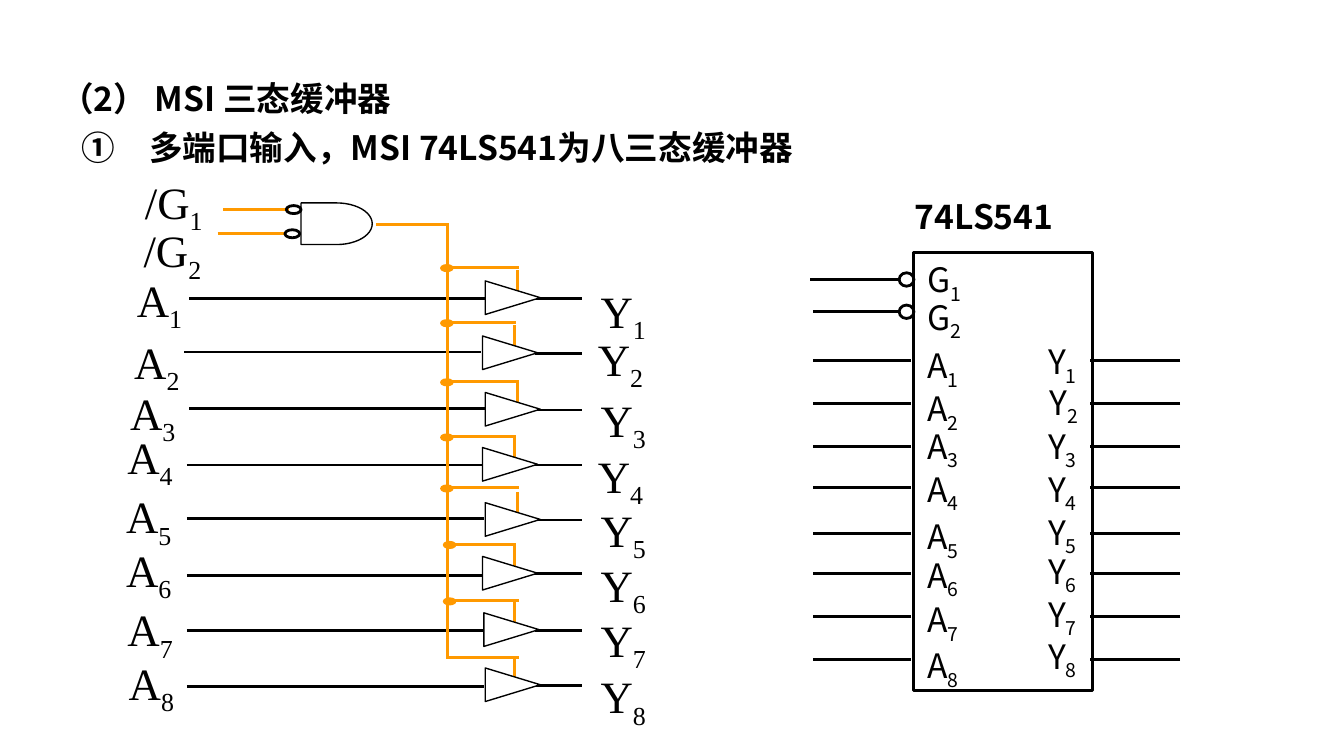
import pptx
import pptx.util
import pptx.dml.color
import pptx.enum.shapes
import pptx.enum.text
import pptx.oxml.ns
import lxml.etree

PX = 9144  # 100 px to the inch
HUES = {"ink": "000000", "paper": "FFFFFF", "bus": "FF9900"}
SANS, HEAD, SERIF = "Noto Sans CJK SC", "Noto Sans CJK JP", "Times New Roman"
KIND = pptx.enum.shapes.MSO_SHAPE
qn = pptx.oxml.ns.qn

deck = pptx.Presentation()
deck.slide_width = 1000 * PX
deck.slide_height = deck.slide_width * 9 // 16
slide = deck.slides.add_slide(deck.slide_layouts[5])
shapes = slide.shapes


def wire(x1, y1, x2, y2, hue="ink"):
    line = shapes.add_connector(pptx.enum.shapes.MSO_CONNECTOR.STRAIGHT,
                                x1 * PX, y1 * PX, x2 * PX, y2 * PX)
    line.line.width = pptx.util.Pt(1.5)
    line.line.color.rgb = pptx.dml.color.RGBColor.from_string(HUES[hue])
    lxml.etree.SubElement(line._element.spPr, qn("a:effectLst"))


def block(kind, x, y, w, h, fill=None, hue="ink", width=1.5, turn=0):
    part = shapes.add_shape(kind, x * PX, y * PX, w * PX, h * PX)
    part.shadow.inherit = False
    part.rotation = turn
    if fill:
        part.fill.solid()
        part.fill.fore_color.rgb = pptx.dml.color.RGBColor.from_string(HUES[fill])
    else:
        part.fill.background()
    part.line.color.rgb = pptx.dml.color.RGBColor.from_string(HUES[hue])
    part.line.width = pptx.util.Pt(width)


# Labels: holder, box, (text, subscript), font, size, bold
labels = [
    (shapes.title, (51, 93, 772, 41), ("多端口输入，MSI 74LS541为八三态缓冲器", ""), HEAD, 18, True),
    (None, (35, 53, 472, 40), ("（2） MSI 三态缓冲器", ""), HEAD, 18, True),
    (None, (671, 141, 150, 51), ("74LS541", ""), SANS, 18, True),
    (None, (98, 125, 79, 51), ("/G", "1"), SERIF, 24, False),
    (None, (97, 161, 77, 51), ("/G", "2"), SERIF, 24, False),
]

# Chip body and enable pins
block(KIND.RECTANGLE, 680, 188, 133, 326, "paper")
for num, left, right, y, top in (("1", 603, 669, 208, 188), ("2", 605, 678, 232, 216)):
    block(KIND.OVAL, 669, y - 5, 11, 10)
    wire(left, y, min(right, 670), y)
    labels.append((None, (680, top, 58, 51), ("G", num), SANS, 18, False))

# Chip data pins: wire y, A label top, Y label top
pins = [(268, 252, 249), (300, 284, 279), (332, 312, 312), (363, 344, 344),
        (397, 379, 376), (427, 408, 405), (459, 441, 437), (491, 475, 468)]
for num, (y, atop, ytop) in enumerate(pins, 1):
    wire(678, y, 605, y)
    wire(878, y, 811, y)
    labels.append((None, (680, atop, 58, 51), ("A", str(num)), SANS, 18, False))
    labels.append((None, (771 if num == 2 else 770, ytop, 58, 51), ("Y", str(num)), SANS, 18, False))

# Enable gate
wire(166, 156, 215, 156, "bus")
wire(162, 174, 213, 174, "bus")
wire(280, 167, 333, 167, "bus")
block(KIND.FLOWCHART_DELAY, 224, 151, 53, 31, "paper", width=0.75)
block(KIND.OVAL, 213, 153, 11, 6)
block(KIND.OVAL, 212, 171, 11, 6)

# Buffer rows: input x and y, output y, buffer x, branch x and y, stub x, A box, Y box
rows = [
    (141, 222, 222, 369, 332, 199, 385, (92, 198, 57), (437, 206, 66)),
    (137, 262, 263, 367, 330, 240, 383, (90, 244, 61), (435, 242, 57)),
    (141, 304, 305, 369, 332, 284, 385, (87, 282, 57), (437, 287, 59)),
    (139, 346, 346, 367, 330, 325, 383, (85, 315, 56), (435, 329, 68)),
    (139, 386, 387, 369, 332, 363, 385, (84, 359, 63), (437, 369, 67)),
    (139, 428, 427, 367, 330, 405, 383, (84, 399, 63), (437, 410, 63)),
    (139, 469, 469, 368, 332, 447, 383, (85, 443, 81), (437, 451, 67)),
    (139, 511, 510, 369, 332, 489, 383, (86, 483, 64), (437, 493, 67)),
]
for num, (left, y, out, tip, root, fork, stub, abox, ybox) in enumerate(rows, 1):
    wire(left, y, left + 221, y)
    wire(398, out, 433, out)
    wire(root, fork, root + 54, fork, "bus")
    wire(stub, out - 21, stub, out - 3, "bus")
    if num < len(rows):
        block(KIND.OVAL, 330 if num > 5 else 328, fork - 2, 9, 5, "bus", "bus", 0.75)
    block(KIND.ISOSCELES_TRIANGLE, tip, out - 21, 25, 41, "paper", width=0.75, turn=90)
    for name, box in (("A", abox), ("Y", ybox)):
        labels.append((None, (*box, 51), (name, str(num)), SERIF, 24, False))
wire(333, 166, 333, 489, "bus")

# Text
for holder, (x, y, w, h), texts, face, size, bold in labels:
    box = holder or shapes.add_textbox(0, 0, PX, PX)
    box.left, box.top, box.width, box.height = x * PX, y * PX, w * PX, h * PX
    frame = box.text_frame
    frame.word_wrap = True
    frame.auto_size = pptx.enum.text.MSO_AUTO_SIZE.NONE
    frame.vertical_anchor = pptx.enum.text.MSO_ANCHOR.TOP
    frame.margin_left = frame.margin_right = 10 * PX
    frame.margin_top = frame.margin_bottom = 5 * PX
    para = frame.paragraphs[0]
    para.alignment = pptx.enum.text.PP_ALIGN.LEFT
    for text, base in zip(texts, ("0", "-25000")):
        if not text:
            continue
        run = para.add_run()
        run.text = text
        run.font.size = pptx.util.Pt(size)
        run.font.bold = bold
        run.font.color.rgb = pptx.dml.color.RGBColor.from_string(HUES["ink"])
        run.font.name = face
        props = run._r.get_or_add_rPr()
        props.set("baseline", base)
        lxml.etree.SubElement(props, qn("a:ea"), typeface=face)

# Circled number in front of the title
para = shapes.title.text_frame.paragraphs[0]
para.line_spacing = 0.9
props = para._p.get_or_add_pPr()
props.set("marL", str(50 * PX))
props.set("indent", str(-50 * PX))
lxml.etree.SubElement(props, qn("a:buAutoNum"), type="circleNumDbPlain")

deck.save("out.pptx")
